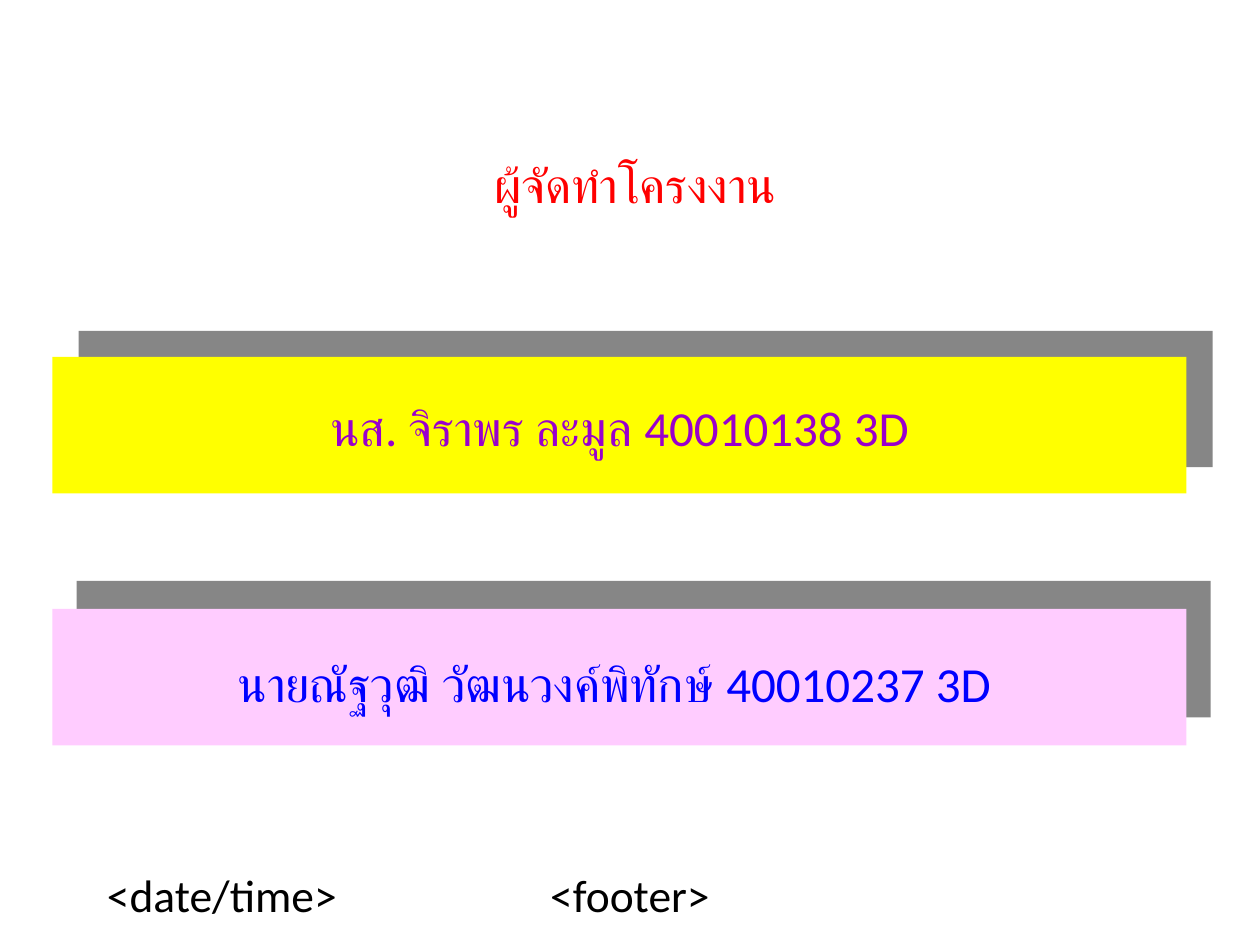
from lxml import etree
from pptx import Presentation
from pptx.dml.color import RGBColor
from pptx.enum import shapes, text
from pptx.oxml import ns
from pptx.util import Pt

BLACK = RGBColor(0x00, 0x00, 0x00)
RED = RGBColor(0xFF, 0x00, 0x00)
YELLOW = RGBColor(0xFF, 0xFF, 0x00)
PURPLE = RGBColor(0x99, 0x00, 0xCC)
PINK = RGBColor(0xFF, 0xCC, 0xFF)
BLUE = RGBColor(0x00, 0x00, 0xFF)
GREY = RGBColor(0x86, 0x86, 0x86)

FONT = "Calibri"
LEFT, CENTER = text.PP_ALIGN.LEFT, text.PP_ALIGN.CENTER
TOP, MIDDLE = text.MSO_ANCHOR.TOP, text.MSO_ANCHOR.MIDDLE


def add_text(page, box, words, color, size=28, align=CENTER, anchor=MIDDLE, wrap=False):
    frame = page.shapes.add_textbox(*map(Pt, box)).text_frame
    frame.word_wrap = wrap
    frame.vertical_anchor = anchor
    para = frame.paragraphs[0]
    para.text = words
    para.alignment = align
    para.font.name = FONT
    para.font.size = Pt(size)
    para.font.color.rgb = color


def add_hard_shadow(shape, distance, angle):
    """Cast an unblurred shadow; distance in points, angle in degrees."""
    shape.shadow.inherit = False
    effects = shape._element.spPr.find(ns.qn("a:effectLst"))
    shadow = etree.SubElement(
        effects, ns.qn("a:outerShdw"), blurRad="0", dist=str(Pt(distance)),
        dir=str(angle * 60000), algn="ctr", rotWithShape="0")
    etree.SubElement(shadow, ns.qn("a:srgbClr"), val=str(GREY))


def add_banner(page, box, fill, words, color, label_box, angle):
    """label_box is measured from the banner's top left corner."""
    bar = page.shapes.add_shape(shapes.MSO_SHAPE.RECTANGLE, *map(Pt, box))
    bar.fill.solid()
    bar.fill.fore_color.rgb = fill
    bar.line.fill.background()
    add_hard_shadow(bar, 21.2, angle)
    left, top, width, height = label_box
    add_text(page, (box[0] + left, box[1] + top, width, height), words, color)


def add_footer(page, left, top, height):
    add_text(page, (left, top, 150, height), "<date/time>", BLACK,
             size=26, align=LEFT, anchor=TOP, wrap=True)
    add_text(page, (left + 192, top, 228, height), "<footer>", BLACK,
             size=26, anchor=TOP, wrap=True)


def main():
    deck = Presentation()
    deck.slide_width, deck.slide_height = Pt(720), Pt(540)
    page = deck.slides.add_slide(deck.slide_layouts[6])

    add_footer(page, 54, 492, 36)
    add_text(page, (174, 60, 378, 90), "ผู้จัดทำโครงงาน", RED)
    add_banner(page, (30, 204, 648, 78), YELLOW, "นส. จิราพร ละมูล 40010138 3D",
               PURPLE, (54, 6, 540, 68), 315)
    add_banner(page, (30, 348, 648, 78), PINK, "นายณัฐวุฒิ วัฒนวงค์พิทักษ์ 40010237 3D",
               BLUE, (12, 6, 618, 72), 311)

    deck.save("out.pptx")


if __name__ == "__main__":
    main()
